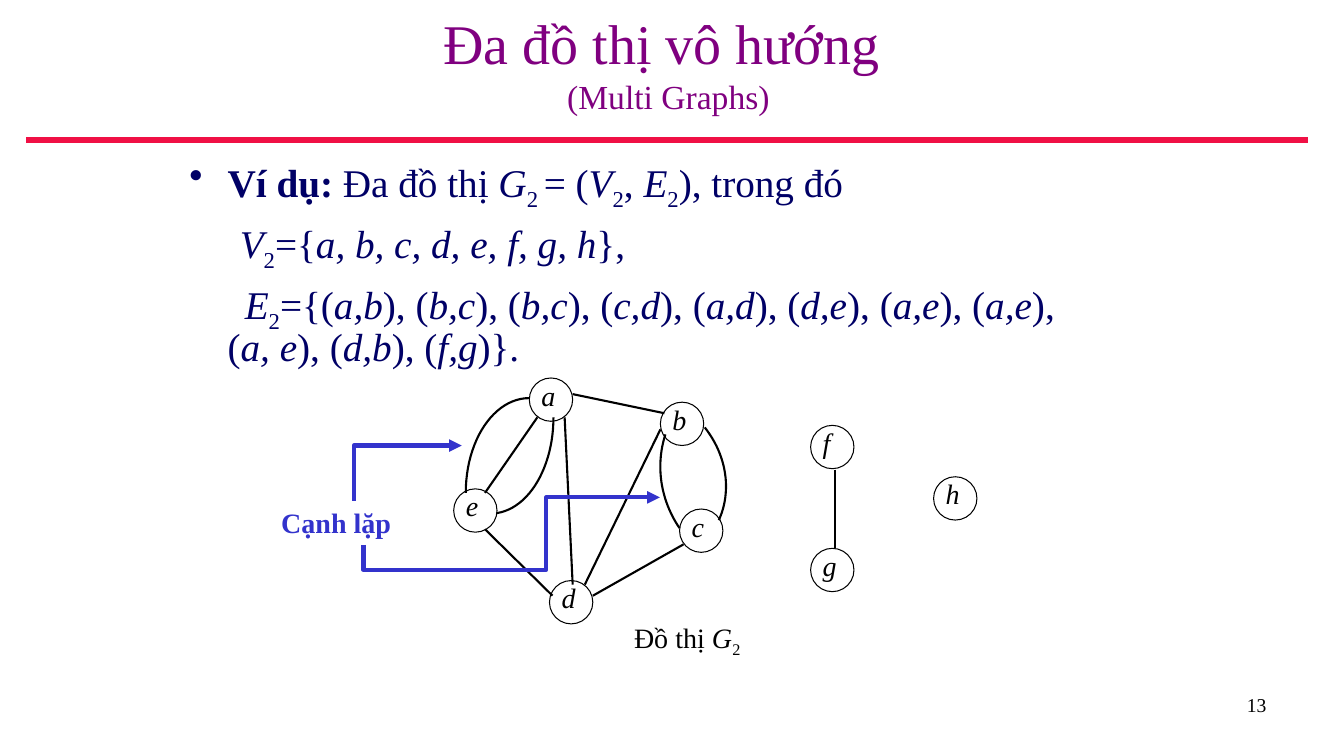
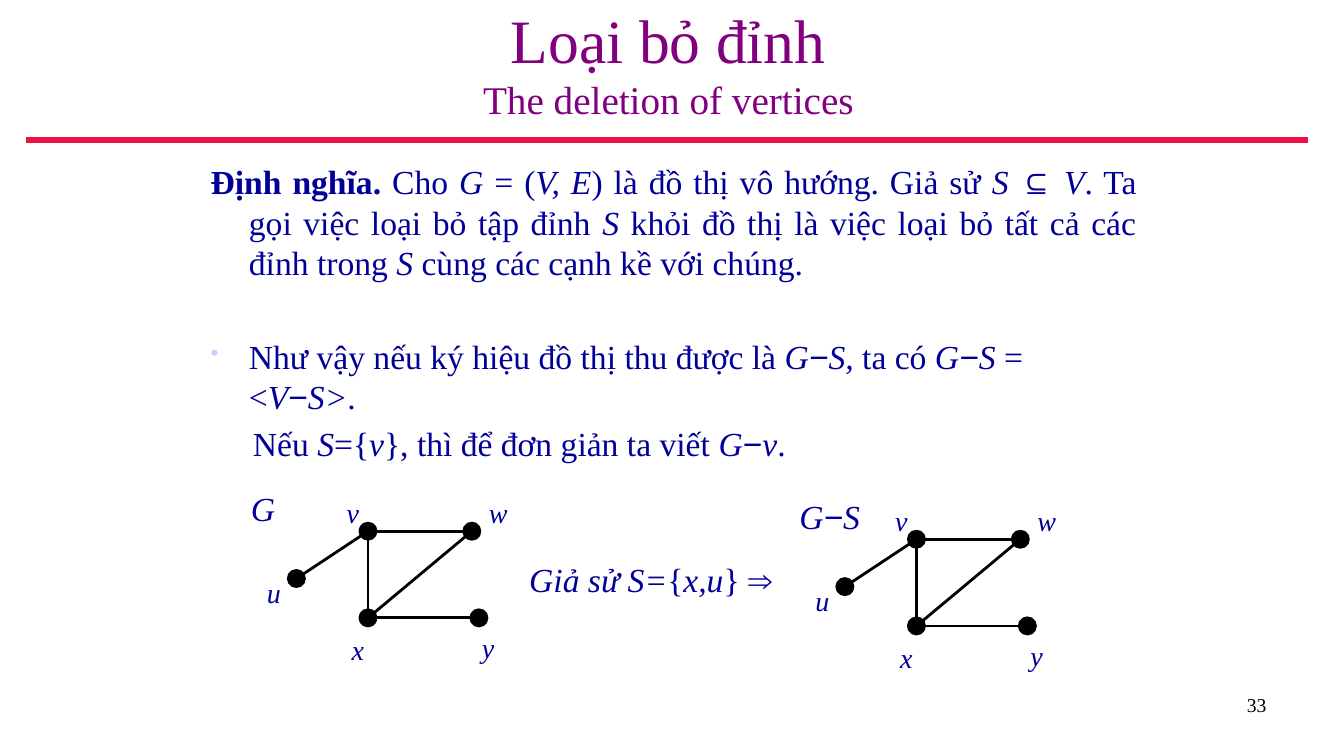
from lxml import etree
from pptx import Presentation
from pptx.dml.color import RGBColor
from pptx.enum.shapes import MSO_CONNECTOR, MSO_SHAPE
from pptx.enum.text import MSO_ANCHOR, PP_ALIGN
from pptx.oxml.ns import qn
from pptx.util import Inches, Pt

LEFT, CENTER, RIGHT, JUSTIFY = PP_ALIGN.LEFT, PP_ALIGN.CENTER, PP_ALIGN.RIGHT, PP_ALIGN.JUSTIFY
TOP, MIDDLE = MSO_ANCHOR.TOP, MSO_ANCHOR.MIDDLE
STRAIGHT, ELBOW = MSO_CONNECTOR.STRAIGHT, MSO_CONNECTOR.ELBOW
OVAL = MSO_SHAPE.OVAL

SERIF, SANS = "Times New Roman", "Arial"
BLACK, PURPLE, RED = "000000", "800080", "F01045"
NAVY, INK, BLUE, LILAC = "000066", "000099", "3333CC", "CCCCFF"

rgb = RGBColor.from_string


def add_text(page, at, paragraphs, size, color, align=LEFT, anchor=TOP, wrap=True, inset=True):
    """Add a text box; a run is (text, style[, size]), style letters: b, i, s(ubscript), a(rial)."""
    box = page.shapes.add_textbox(*map(Inches, at))
    frame = box.text_frame
    frame.word_wrap = wrap
    frame.vertical_anchor = anchor
    if not inset:
        frame.margin_left = frame.margin_right = frame.margin_top = frame.margin_bottom = 0
    for number, runs in enumerate(paragraphs):
        para = frame.add_paragraph() if number else frame.paragraphs[0]
        para.alignment = align
        for text, style, *own_size in runs:
            if text == "\n":
                para.add_line_break()
                continue
            span = para.add_run()
            span.text = text
            font = span.font
            font.name = SANS if "a" in style else SERIF
            font.size = Pt(own_size[0] if own_size else size)
            font.color.rgb = rgb(color)
            font.bold = "b" in style
            font.italic = "i" in style
            if "s" in style:
                font._element.set("baseline", "-25000")
    return box


def add_line(page, begin, end, color=BLACK, width=1.5, kind=STRAIGHT):
    line = page.shapes.add_connector(kind, *map(Inches, (*begin, *end)))
    line.line.color.rgb = rgb(color)
    line.line.width = Pt(width)
    etree.SubElement(line._element.spPr, qn("a:effectLst"))
    return line


deck = Presentation()
deck.slide_width, deck.slide_height = Inches(13.33), Inches(7.5)

# Title, rule and page number
headings = [
    ("Đa đồ thị vô hướng ", 40, "(Multi Graphs)", 24, "13"),
    ("Loại bỏ đỉnh", 44, "The deletion of vertices", 28, "33"),
]
pages = []
for title, title_size, subtitle, subtitle_size, number in headings:
    page = deck.slides.add_slide(deck.slide_layouts[6])
    add_line(page, (0.26, 1.39), (12.97, 1.39), RED, 4.5)
    add_text(page, (0.26, 0, 12.74, 1.23),
             [[(title, "", title_size), ("\n", ""), (subtitle, "", subtitle_size)]],
             title_size, PURPLE, CENTER, MIDDLE)
    add_text(page, (9.55, 6.82, 3.11, 0.52), [[(number, "")]], 14, BLACK, RIGHT)
    pages.append(page)
multigraph, deletion = pages

# Multigraph: definition
edge_names = ["a,b", "b,c", "b,c", "c,d", "a,d", "d,e", "a,e", "a,e", "a, e", "d,b", "f,g"]
edge_set = [("E", "i"), ("2", "s"), ("={(", "")]
for index, name in enumerate(edge_names):
    if index == 8:
        edge_set += [("),", ""), ("\n", ""), ("(", "")]
    elif index:
        edge_set.append(("), (", ""))
    edge_set.append((name, "i"))
edge_set.append((")}.", ""))

example = add_text(multigraph, (1.78, 1.55, 9.63, 2.2), [
    [("Ví dụ: ", "b"), ("Đa đồ thị ", ""), ("G", "i"), ("2 ", "s"), ("= (", ""), ("V", "i"),
     ("2", "s"), (", ", ""), ("E", "i"), ("2", "s"), ("), trong đó", "")],
    [("V", "i"), ("2", "s"), ("={", ""), ("a, b, c, d, e, f, g, h", "i"), ("},", "")],
    edge_set,
], 28, NAVY)

# Deletion: definition
definition = add_text(deletion, (1.99, 1.55, 9.38, 3.2), [
    [("Định nghĩa. ", "b"), ("Cho ", ""), ("G ", "i"), ("= (", ""), ("V, E", "i"),
     (") là đồ thị vô hướng. Giả sử ", ""), ("S ", "i"), ("⊆ ", ""), ("V", "i"),
     (". Ta gọi việc loại bỏ tập đỉnh ", "i" * 0), ("S", "i"),
     (" khỏi đồ thị là việc loại bỏ tất cả các đỉnh trong ", ""), ("S", "i"),
     (" cùng các cạnh kề với chúng.", "")],
    [("Như vậy nếu ký hiệu đồ thị thu được là ", ""), ("G", "i"), ("−", "ai"), ("S, ", "i"),
     ("ta có ", ""), ("G", "i"), ("−", "ai"), ("S ", "i"), ("= <", ""), ("V", "i"), ("−", "a"),
     ("S>", "i"), (".", "")],
    [("Nếu ", ""), ("S", "i"), ("={", ""), ("v", "i"), ("}, thì để đơn giản ta viết ", ""),
     ("G", "i"), ("−", "a"), ("v", "i"), (".", "")],
], 24, INK)
definition.text_frame.paragraphs[0].alignment = JUSTIFY

# Per paragraph: first-line indent, space before, bullet colour
layouts = [
    (example, 0.85, [(-0.38, 0, NAVY), (0.12, 11.2, None), (0.17, 11.2, None)]),
    (definition, 1, [(-0.38, 0, None), (-0.38, 38.5, LILAC), (0.04, 4.8, None)]),
]
for box, line_spacing, rules in layouts:
    for para, (indent, before, bullet_color) in zip(box.text_frame.paragraphs, rules):
        properties = para._p.get_or_add_pPr()
        properties.set("marL", str(Inches(0.38)))
        properties.set("indent", str(Inches(indent)))
        if bullet_color:
            tint = etree.SubElement(properties, qn("a:buClr"))
            etree.SubElement(tint, qn("a:srgbClr")).set("val", bullet_color)
            percent = "70000" if bullet_color == LILAC else "100000"
            etree.SubElement(properties, qn("a:buSzPct")).set("val", percent)
            etree.SubElement(properties, qn("a:buChar")).set("char", "•")
        para.line_spacing = line_spacing
        para.space_before = Pt(before)

# Multigraph: vertices
vertices = {
    "a": (5.25, 3.75), "b": (6.55, 3.99), "c": (6.74, 5.05), "d": (5.45, 5.76),
    "e": (4.5, 4.85), "f": (8.04, 4.22), "g": (8.04, 5.44), "h": (9.26, 4.73),
}
for name, (left, top) in vertices.items():
    vertex = multigraph.shapes.add_shape(OVAL, *map(Inches, (left, top, 0.43, 0.43)))
    vertex.shadow.inherit = False
    vertex.fill.background()
    vertex.line.color.rgb = rgb(BLACK)
    vertex.line.width = Pt(0.75)
    add_text(multigraph, (left + 0.12, top, 0.16, 0.32), [[(name, "i")]], 20, BLACK, inset=False)

# Multigraph: straight and curved edges
straight_edges = [
    ((5.68, 3.91), (6.59, 4.1)), ((6.78, 5.4), (5.88, 5.91)), ((5.48, 5.91), (4.81, 5.25)),
    ((5.33, 4.14), (4.81, 4.89)), ((8.28, 4.66), (8.28, 5.44)), ((5.6, 4.14), (5.68, 5.8)),
    ((6.55, 4.26), (5.8, 5.8)),
]
for begin, end in straight_edges:
    add_line(multigraph, begin, end)

curved_edges = [
    ((5.25, 3.95), (4.9, 3.95), (4.62, 4.37), (4.62, 4.89)),
    ((4.93, 5.09), (5.25, 5.04), (5.49, 4.63), (5.49, 4.14)),
    ((6.99, 4.24), (7.21, 4.52), (7.26, 4.87), (7.13, 5.16)),
    ((6.6, 4.31), (6.5, 4.62), (6.55, 4.96), (6.74, 5.24)),
]
STEPS = 24
for controls in curved_edges:
    points = []
    for step in range(STEPS + 1):
        t = step / STEPS
        weights = ((1 - t) ** 3, 3 * t * (1 - t) ** 2, 3 * t ** 2 * (1 - t), t ** 3)
        points.append(tuple(Inches(sum(w * c for w, c in zip(weights, axis)))
                            for axis in zip(*controls)))
    builder = multigraph.shapes.build_freeform(*points[0])
    builder.add_line_segments(points[1:], close=False)
    curve = builder.convert_to_shape()
    curve.shadow.inherit = False
    curve.fill.background()
    curve.line.color.rgb = rgb(BLACK)
    curve.line.width = Pt(1.5)

# Multigraph: arrows to the repeated edges, as preset, ends before turning, degrees, bends
arrows = [
    ("bentConnector2", (3.77, 4.16), (4.32, 5.23), 270, ()),
    ("bentConnector4", (5.31, 6.64), (4.84, 3.7), 90, (-52700, 61700)),
]
for preset, begin, end, degrees, bends in arrows:
    arrow = add_line(multigraph, begin, end, BLUE, 3, ELBOW)
    properties = arrow._element.spPr
    properties.find(qn("a:xfrm")).set("rot", str(degrees * 60000))
    geometry = properties.find(qn("a:prstGeom"))
    geometry.set("prst", preset)
    for index, bend in enumerate(bends, 1):
        guide = etree.SubElement(geometry.find(qn("a:avLst")), qn("a:gd"))
        guide.set("name", f"adj{index}")
        guide.set("fmla", f"val {bend}")
    etree.SubElement(properties.find(qn("a:ln")), qn("a:tailEnd")).set("type", "triangle")

add_text(multigraph, (2.69, 4.97, 1.38, 0.43), [[("Cạnh lặp", "b")]], 20, BLUE)
add_text(multigraph, (6.19, 6.11, 1.34, 0.43),
         [[("Đồ thị ", ""), ("G", "i"), ("2", "s")]], 20, BLACK)

# Deletion: the two graphs, the second one shifted
DOT = 0.16
dots = {"u": (2.94, 5.74), "v": (3.65, 5.27), "w": (4.68, 5.27), "x": (3.65, 6.13), "y": (4.75, 6.13)}
labels = {
    "u": (2.55, 5.66, 0.34), "v": (3.34, 4.87, 0.32), "w": (4.75, 4.87, 0.39),
    "x": (3.39, 6.23, 0.32), "y": (4.68, 6.21, 0.32),
}
graphs = [
    (0, 0, 0.45, [("G", "i")]),
    (5.44, 0.08, 0.82, [("G", "i"), ("−", "ai"), ("S", "i")]),
]
for right, down, caption_width, caption in graphs:
    add_text(deletion, (2.39 + right, 4.79 + down, caption_width, 0.51), [caption], 24, INK, wrap=False)
    centers = {name: (x + right, y + down) for name, (x, y) in dots.items()}
    for first, second in ("yx", "wv", "uv", "xv", "wx"):
        add_line(deletion, centers[first], centers[second], width=2)
    for name, (x, y) in centers.items():
        dot = deletion.shapes.add_shape(OVAL, *map(Inches, (x - DOT / 2, y - DOT / 2, DOT, DOT)))
        dot.shadow.inherit = False
        dot.fill.solid()
        dot.fill.fore_color.rgb = rgb(BLACK)
        dot.line.color.rgb = rgb(BLACK)
        dot.line.width = Pt(2)
        left, top, width = labels[name]
        add_text(deletion, (left + right, top + down, width, 0.44), [[(name, "i")]], 20, INK, wrap=False)

add_text(deletion, (5.15, 5.5, 2.82, 0.51),
         [[("Giả sử S=", "i"), ("{", ""), ("x,u", "i"), ("} ⇒", "")]], 24, INK, wrap=False)

deck.save("out.pptx")
